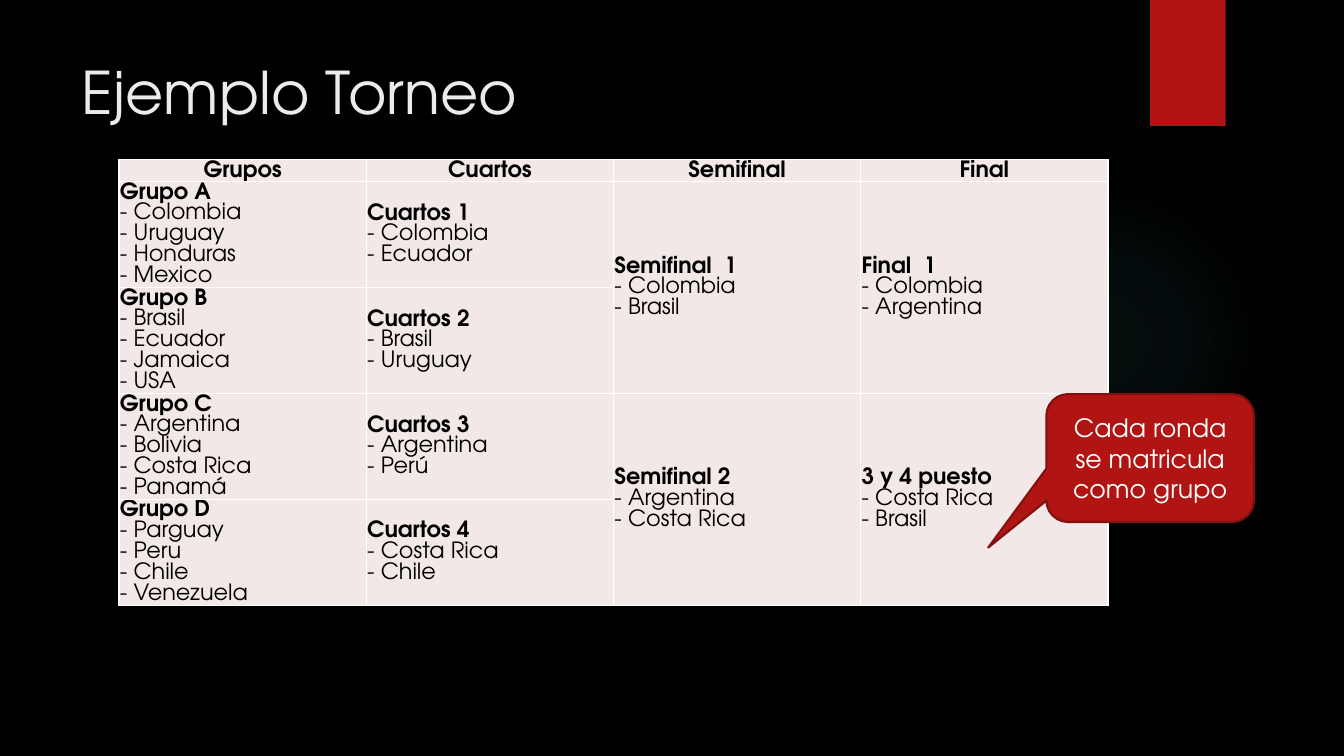
"""Build the tournament example slide."""
from lxml import etree
from pptx import Presentation
from pptx.dml.color import RGBColor
from pptx.enum import shapes, text
from pptx.oxml import ns
from pptx.util import Pt

HUES = {"back": "000000", "title": "EBEBEB", "red": "B01513", "edge": "82100E",
        "cell": "F2E8E7", "ink": "000000", "white": "FFFFFF", "glow": "50B9C1"}
FONT = "TeX Gyre Adventor"
URI = ns.nsdecls("a")
LEFT, MID = text.PP_ALIGN.LEFT, text.PP_ALIGN.CENTER


def rgb(name):
    return RGBColor.from_string(HUES[name])


def write(frame, lines, size=16, hue="ink", align=LEFT, head=False, lead=None):
    para = frame.paragraphs[0]
    para.alignment = align
    if lead:
        para.line_spacing = Pt(lead)
    for i, line in enumerate(lines):
        if i:
            para.add_line_break()
        run = para.add_run()
        run.text = line
        font = run.font
        font.name, font.size = FONT, Pt(size)
        font.bold = head and i == 0
        font.color.rgb = rgb(hue)
    for gap in para._p.findall(ns.qn("a:br")):
        gap.get_or_add_rPr().set("sz", str(size * 100))


prs = Presentation()
prs.slide_width, prs.slide_height = Pt(960), Pt(540)
slide = prs.slides.add_slide(prs.slide_layouts[5])
slide.background.fill.solid()
slide.background.fill.fore_color.rgb = rgb("back")

glow = slide.shapes.add_shape(shapes.MSO_SHAPE.OVAL, Pt(677.5), Pt(131.8), Pt(221.8), Pt(221.8))
glow.shadow.inherit = False
glow.line.fill.background()
stops = "".join(
    f'<a:gs pos="{pos * 1000}"><a:srgbClr val="{HUES["glow"]}">'
    f'<a:alpha val="{alpha * 1000}"/></a:srgbClr></a:gs>'
    for pos, alpha in [(0, 7), (36, 6), (69, 0), (100, 0)])
grad = etree.fromstring(
    f'<a:gradFill {URI}><a:gsLst>{stops}</a:gsLst><a:path path="circle">'
    '<a:fillToRect l="50000" t="50000" r="50000" b="50000"/></a:path></a:gradFill>')
glow._element.spPr.find(ns.qn("a:prstGeom")).addnext(grad)

flag = slide.shapes.add_shape(shapes.MSO_SHAPE.RECTANGLE, Pt(821.5), 0, Pt(54), Pt(90))
flag.shadow.inherit = False
flag.fill.solid()
flag.fill.fore_color.rgb = rgb("red")
flag.line.fill.background()

title = slide.shapes.title
title.left, title.top, title.width, title.height = Pt(51.1), Pt(36), Pt(740.9), Pt(110.2)
title.text_frame.vertical_anchor = text.MSO_ANCHOR.TOP
title.text_frame.auto_size = text.MSO_AUTO_SIZE.NONE
write(title.text_frame, ["Ejemplo Torneo"], size=42, hue="title")

heads = ["Grupos", "Cuartos", "Semifinal", "Final"]
rounds = [
    [["Grupo A", "Colombia", "Uruguay", "Honduras", "Mexico"],
     ["Cuartos 1", "Colombia", "Ecuador"],
     ["Semifinal  1", "Colombia", "Brasil"],
     ["Final  1", "Colombia", "Argentina"]],
    [["Grupo B", "Brasil", "Ecuador", "Jamaica", "USA"],
     ["Cuartos 2", "Brasil", "Uruguay"]],
    [["Grupo C", "Argentina", "Bolivia", "Costa Rica", "Panamá"],
     ["Cuartos 3", "Argentina", "Perú"],
     ["Semifinal 2", "Argentina", "Costa Rica"],
     ["3 y 4 puesto", "Costa Rica", "Brasil"]],
    [["Grupo D", "Parguay", "Peru", "Chile", "Venezuela"],
     ["Cuartos 4", "Costa Rica", "Chile"]],
]
grid = slide.shapes.add_table(5, 4, Pt(85), Pt(113.8), Pt(706.4), Pt(318.5)).table
grid.first_row = grid.horz_banding = False
for col in grid.columns:
    col.width = Pt(176.6)
for r, row in enumerate(grid.rows):
    row.height = Pt(75.7 if r else 15.7)
    for cell in row.cells:
        cell.margin_left = cell.margin_right = cell.margin_top = Pt(0.7)
        cell.margin_bottom = 0
        cell.vertical_anchor = text.MSO_ANCHOR.MIDDLE if r else text.MSO_ANCHOR.BOTTOM
        cell.fill.solid()
        cell.fill.fore_color.rgb = rgb("cell")
        props = cell._tc.get_or_add_tcPr()
        for i, side in enumerate(["lnL", "lnR", "lnT", "lnB"]):
            props.insert(i, etree.fromstring(
                f'<a:{side} {URI} w="{Pt(1)}"><a:solidFill>'
                f'<a:srgbClr val="{HUES["white"]}"/></a:solidFill></a:{side}>'))

for c, name in enumerate(heads):
    write(grid.cell(0, c).text_frame, [name], align=MID, head=True, lead=15)
for r, row in enumerate(rounds, 1):
    for c, (name, *teams) in enumerate(row):
        cell = grid.cell(r, c)
        if c > 1:
            cell.merge(grid.cell(r + 1, c))
        write(cell.text_frame, [name] + [f"- {team}" for team in teams], head=True, lead=15)

note = slide.shapes.add_shape(
    shapes.MSO_SHAPE.ROUNDED_RECTANGULAR_CALLOUT, Pt(747.4), Pt(281.5), Pt(148.3), Pt(91.4))
for i, value in enumerate([-0.78, 0.7, 0.17]):
    note.adjustments[i] = value
note.shadow.inherit = False
note.fill.solid()
note.fill.fore_color.rgb = rgb("red")
note.line.color.rgb = rgb("edge")
note.line.width = Pt(1.5)
note.text_frame.word_wrap = True
note.text_frame.vertical_anchor = text.MSO_ANCHOR.MIDDLE
write(note.text_frame, ["Cada ronda se matricula como grupo"], size=18, hue="white", align=MID)

prs.save("out.pptx")
